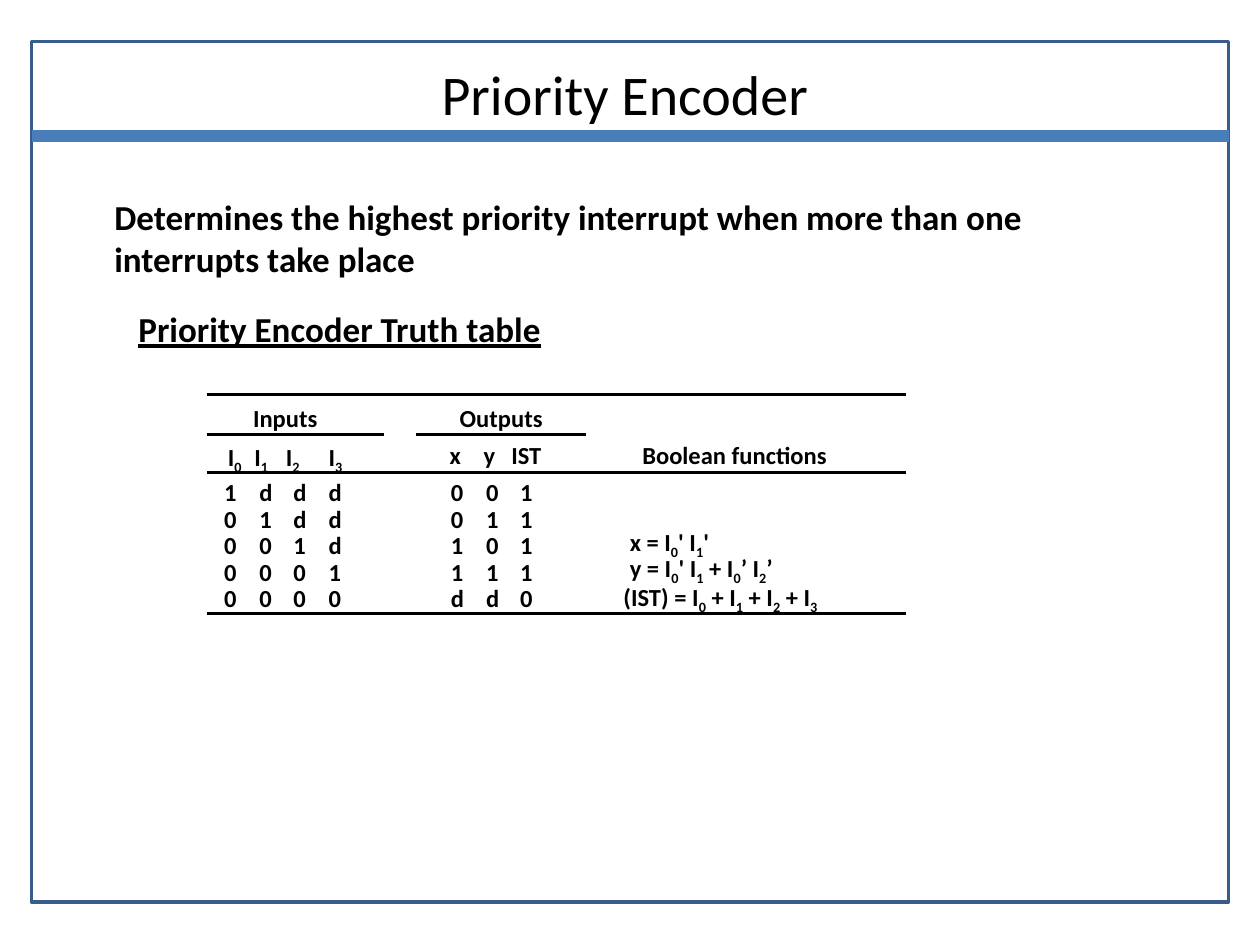
from dataclasses import dataclass

from lxml import etree
from pptx import Presentation
from pptx.dml.color import RGBColor
from pptx.enum.shapes import MSO_CONNECTOR, MSO_SHAPE
from pptx.enum.text import PP_ALIGN
from pptx.oxml.ns import qn
from pptx.util import Inches, Pt

RECTANGLE = MSO_SHAPE.RECTANGLE
STRAIGHT = MSO_CONNECTOR.STRAIGHT
CENTER = PP_ALIGN.CENTER


@dataclass(frozen=True)
class Theme:
    font: str = "Calibri"
    text: RGBColor = RGBColor(0x00, 0x00, 0x00)
    frame: RGBColor = RGBColor(0x38, 0x5D, 0x8A)
    divider: RGBColor = RGBColor(0x4A, 0x7E, 0xBB)
    title_size: float = 32
    body_size: float = 20
    table_size: float = 14
    rule_width: float = 2
    divider_width: float = 6.75


theme = Theme()
presentation = Presentation()
presentation.slide_width = Inches(10)
presentation.slide_height = Inches(7.5)
slide = presentation.slides.add_slide(presentation.slide_layouts[6])


def add_text(text, left, top, width, height, size=theme.table_size, bold=True, tabs=()):
    """Add a text box; the character after each underscore is a subscript."""
    box = slide.shapes.add_textbox(Inches(left), Inches(top), Inches(width), Inches(height))
    frame = box.text_frame
    frame.word_wrap = True
    frame.margin_right = 0  # spare room so that short labels stay on one line
    paragraph = frame.paragraphs[0]
    first, *rest = text.split("_")
    paragraph.text = first
    for part in rest:
        subscript = paragraph.add_run()
        subscript.text = part[0]
        subscript._r.get_or_add_rPr().set("baseline", "-25000")
        if part[1:]:
            paragraph.add_run().text = part[1:]
    for run in paragraph.runs:
        run.font.name = theme.font
        run.font.size = Pt(size)
        run.font.bold = bold
        run.font.color.rgb = theme.text
    if tabs:
        tab_list = etree.SubElement(paragraph._p.get_or_add_pPr(), qn("a:tabLst"))
        for position in tabs:
            etree.SubElement(tab_list, qn("a:tab"), pos=str(Inches(position)), algn="l")
    return box


def add_rule(left, right, top, color=theme.text, width=theme.rule_width):
    rule = slide.shapes.add_connector(
        STRAIGHT, Inches(left), Inches(top), Inches(right), Inches(top))
    rule.line.color.rgb = color
    rule.line.width = Pt(width)
    etree.SubElement(rule._element.spPr, qn("a:effectLst"))


# Frame and title
border = slide.shapes.add_shape(
    RECTANGLE, Inches(0.25), Inches(0.33), Inches(9.5), Inches(6.83))
border.shadow.inherit = False
border.fill.background()
border.line.color.rgb = theme.frame
border.line.width = Pt(theme.rule_width)
add_rule(0.25, 9.75, 1.08, theme.divider, theme.divider_width)
title = add_text("Priority Encoder", 0.75, 0.42, 8.42, 0.64, theme.title_size, bold=False)
title.text_frame.margin_right = Inches(0.1)
title.text_frame.paragraphs[0].alignment = CENTER

# Introduction and table heading
add_text("Determines the highest priority interrupt when more than one interrupts take place",
         0.81, 1.5, 8.14, 0.76, theme.body_size)
heading = add_text("Priority Encoder Truth table", 1, 2.39, 3.41, 0.43, theme.body_size)
heading.text_frame.paragraphs[0].runs[0].font.underline = True

# Table headers
add_text("Inputs", 1.91, 3.15, 0.71, 0.33)
add_text("Outputs", 3.55, 3.15, 0.86, 0.33)
for index, left in enumerate((1.71, 1.92, 2.17, 2.51)):
    add_text(f"I_{index}", left, 3.46, 0.31, 0.36)
add_text("x\ty\tIST", 3.47, 3.44, 0.93, 0.33, tabs=(0.27, 0.49))
add_text("Boolean functions", 5, 3.44, 1.66, 0.33)

# Truth table rows: inputs, outputs
rows = [("1ddd", "001"), ("01dd", "011"), ("001d", "101"), ("0001", "111"), ("0000", "dd0")]
for index, (inputs, outputs) in enumerate(rows):
    top = 3.74 + 0.21 * index
    height = 0.56 if index < 3 else 0.33
    add_text("\t".join(inputs), 1.68, top, 1.13, height, tabs=(0.28, 0.55, 0.83))
    add_text("\t".join(outputs), 3.48, top, 0.85, height, tabs=(0.28, 0.55))

# Boolean functions
add_text("x = I_0' I_1'", 4.9, 4.13, 0.87, 0.36)
add_text("y = I_0' I_1 + I_0’ I_2’", 4.9, 4.34, 1.33, 0.36)
add_text("(IST) = I_0 + I_1 + I_2 + I_3", 4.85, 4.57, 1.83, 0.36)

# Table rules
for top in (3.13, 3.75, 4.87):
    add_rule(1.64, 7.19, top)
for left, right in ((1.64, 3.05), (3.3, 4.65)):
    add_rule(left, right, 3.45)

presentation.save("out.pptx")
